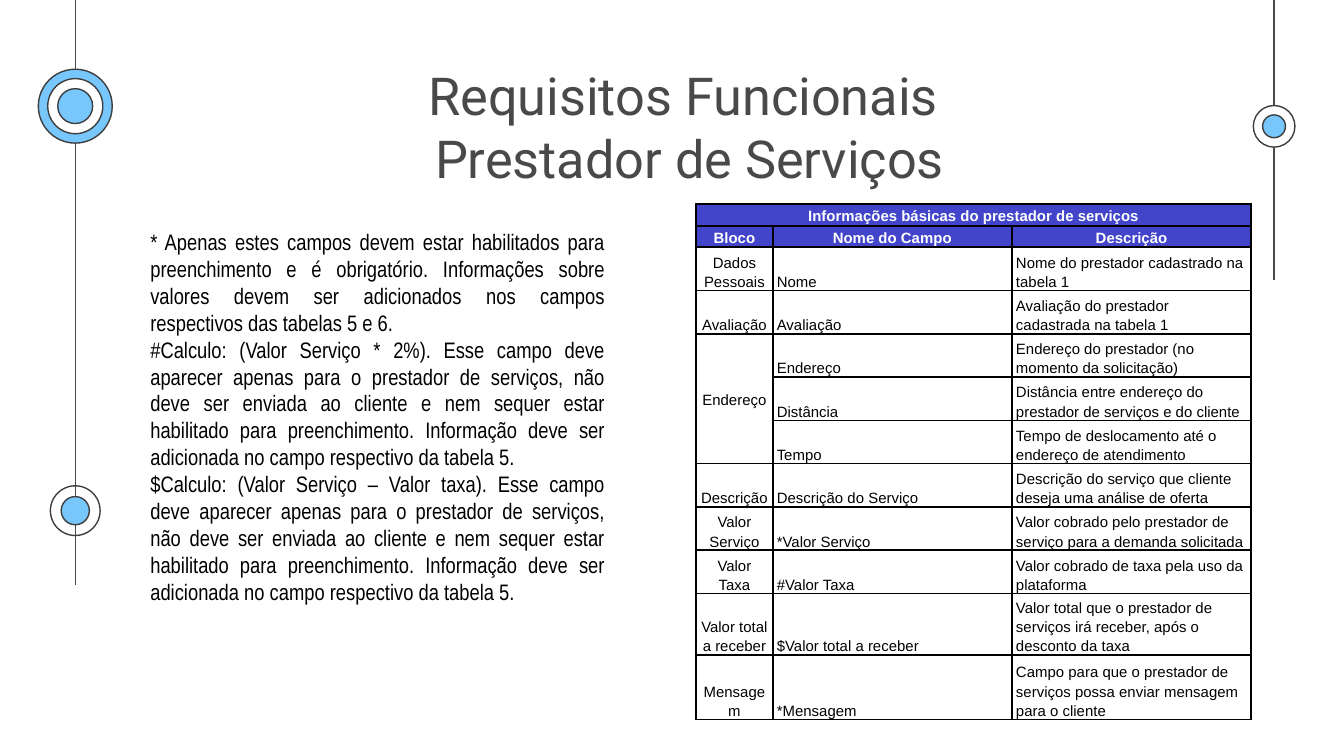
"""Build the slide on functional requirements of the service provider."""
from lxml import etree
from pptx import Presentation
from pptx.dml.color import RGBColor
from pptx.enum import shapes, text
from pptx.oxml import ns
from pptx.util import Inches, Pt

WHITE = RGBColor(0xFF, 0xFF, 0xFF)
BLACK = RGBColor(0x00, 0x00, 0x00)
GRAY = RGBColor(0x49, 0x49, 0x49)
OUTLINE = RGBColor(0x3D, 0x3D, 0x3D)
SKY = RGBColor(0x77, 0xC6, 0xFC)
INDIGO = RGBColor(0x42, 0x45, 0xCA)

SLIDE_WIDTH = 10
SLIDE_HEIGHT = SLIDE_WIDTH * 9 / 16
LEFT_AXIS, RIGHT_AXIS = 0.56, 9.48
TIMELINES = [(LEFT_AXIS, 4.35), (RIGHT_AXIS, 2.08)]
TARGETS = [
    (LEFT_AXIS, 3.8, [(0.37, None), (0.21, SKY)]),
    (RIGHT_AXIS, 0.94, [(0.31, WHITE), (0.17, SKY)]),
    (LEFT_AXIS, 0.79, [(0.55, SKY), (0.41, WHITE), (0.26, SKY)]),
]

TITLE = "Requisitos Funcionais \vPrestador de Serviços"
NOTES = [
    "* Apenas estes campos devem estar habilitados para preenchimento e é "
    "obrigatório. Informações sobre valores devem ser adicionados nos campos "
    "respectivos das tabelas 5 e 6.",
    "#Calculo: (Valor Serviço * 2%). Esse campo deve aparecer apenas para o "
    "prestador de serviços, não deve ser enviada ao cliente e nem sequer estar "
    "habilitado para preenchimento. Informação deve ser adicionada no campo "
    "respectivo da tabela 5.",
    "$Calculo: (Valor Serviço – Valor taxa). Esse campo deve aparecer apenas para o "
    "prestador de serviços, não deve ser enviada ao cliente e nem sequer estar "
    "habilitado para preenchimento. Informação deve ser adicionada no campo "
    "respectivo da tabela 5.",
]
HEADER_ROWS = 2
COLUMN_WIDTHS = [0.57, 1.78, 1.78]
ROW_HEIGHTS = [0.16] * HEADER_ROWS + [2.9 / 9] * 9 + [0.48]
MERGES = [((0, 0), (0, 2)), ((4, 0), (6, 0))]
FIELDS = [
    ("Informações básicas do prestador de serviços", "", ""),
    ("Bloco", "Nome do Campo", "Descrição"),
    ("Dados Pessoais", "Nome", "Nome do prestador cadastrado na tabela 1"),
    ("Avaliação", "Avaliação", "Avaliação do prestador cadastrada na tabela 1"),
    ("Endereço", "Endereço", "Endereço do prestador (no momento da solicitação)"),
    ("", "Distância", "Distância entre endereço do prestador de serviços e do cliente"),
    ("", "Tempo", "Tempo de deslocamento até o endereço de atendimento"),
    ("Descrição", "Descrição do Serviço",
     "Descrição do serviço que cliente deseja uma análise de oferta"),
    ("Valor Serviço", "*Valor Serviço",
     "Valor cobrado pelo prestador de serviço para a demanda solicitada"),
    ("Valor Taxa", "#Valor Taxa", "Valor cobrado de taxa pela uso da plataforma"),
    ("Valor total a receber", "$Valor total a receber",
     "Valor total que o prestador de serviços irá receber, após o desconto da taxa"),
    ("Mensagem", "*Mensagem",
     "Campo para que o prestador de serviços possa enviar mensagem para o cliente"),
]


def write(frame, content, *, size, font, color=BLACK, bold=False,
          align=text.PP_ALIGN.LEFT, spacing=1.0):
    """Fill a text frame, one paragraph per line, in a single format."""
    frame.text = content
    for paragraph in frame.paragraphs:
        paragraph.alignment = align
        paragraph.line_spacing = spacing
        for run in paragraph.runs:
            run.font.size = Pt(size)
            run.font.name = font
            run.font.bold = bold
            run.font.color.rgb = color


def add_timeline(slide, x, bottom):
    """Draw a vertical line from the top edge of the slide."""
    line = slide.shapes.add_connector(
        shapes.MSO_CONNECTOR.STRAIGHT, Inches(x), Inches(0), Inches(x), Inches(bottom))
    line.line.color.rgb = GRAY
    line.line.width = Pt(0.75)
    etree.SubElement(line._element.spPr, ns.qn("a:effectLst"))


def add_target(slide, x, y, rings):
    """Draw concentric circles, largest first, around a point."""
    for diameter, color in rings:
        circle = slide.shapes.add_shape(
            shapes.MSO_SHAPE.OVAL, Inches(x - diameter / 2), Inches(y - diameter / 2),
            Inches(diameter), Inches(diameter))
        circle.shadow.inherit = False
        circle.line.color.rgb = OUTLINE
        circle.line.width = Pt(0.75)
        if color is None:
            circle.fill.background()
        else:
            circle.fill.solid()
            circle.fill.fore_color.rgb = color


def place_title(slide):
    """Move and format the title placeholder."""
    title = slide.shapes.title
    title.left, title.top = Inches(3.05), Inches(0.37)
    title.width, title.height = Inches(4.16), Inches(0.63)
    frame = title.text_frame
    frame.auto_size = text.MSO_AUTO_SIZE.NONE
    frame.vertical_anchor = text.MSO_ANCHOR.TOP
    frame.margin_left = frame.margin_right = Inches(0.1)
    frame.margin_top = frame.margin_bottom = Inches(0.1)
    write(frame, TITLE, size=28, font="Roboto", color=GRAY, align=text.PP_ALIGN.CENTER)


def add_notes(slide):
    """Add the justified explanations beside the table."""
    box = slide.shapes.add_textbox(Inches(1.02), Inches(1.65), Inches(3.58), Inches(2.93))
    box.text_frame.word_wrap = True
    box.text_frame.auto_size = text.MSO_AUTO_SIZE.SHAPE_TO_FIT_TEXT
    write(box.text_frame, "\n".join(NOTES), size=12, font="Arial Narrow",
          align=text.PP_ALIGN.JUSTIFY)


def add_borders(cell):
    """Give a table cell a thin black line on every side."""
    properties = cell._tc.get_or_add_tcPr()
    for side in ("a:lnL", "a:lnR", "a:lnT", "a:lnB"):
        border = etree.SubElement(properties, ns.qn(side), w=str(Pt(1)))
        fill = etree.SubElement(border, ns.qn("a:solidFill"))
        etree.SubElement(fill, ns.qn("a:srgbClr"), val=str(BLACK))


def format_cell(cell, content, *, header, centered, middle):
    """Write and style one table cell."""
    add_borders(cell)
    if header:
        cell.fill.solid()
        cell.fill.fore_color.rgb = INDIGO
    else:
        cell.fill.background()
    cell.margin_left = cell.margin_right = Inches(0.03)
    cell.margin_top = cell.margin_bottom = Inches(0)
    cell.vertical_anchor = text.MSO_ANCHOR.MIDDLE if middle else text.MSO_ANCHOR.BOTTOM
    write(cell.text_frame, content, size=8, font="Arial", bold=header, spacing=1.15,
          color=WHITE if header else BLACK,
          align=text.PP_ALIGN.CENTER if centered else text.PP_ALIGN.LEFT)


def add_fields_table(slide):
    """Add the table of the provider's fields."""
    table = slide.shapes.add_table(
        len(FIELDS), len(COLUMN_WIDTHS), Inches(5.18), Inches(1.52),
        Inches(sum(COLUMN_WIDTHS)), Inches(sum(ROW_HEIGHTS))).table
    table.first_row = table.horz_banding = False
    for column, width in zip(table.columns, COLUMN_WIDTHS):
        column.width = Inches(width)
    for row, height in zip(table.rows, ROW_HEIGHTS):
        row.height = Inches(height)
    for first, last in MERGES:
        table.cell(*first).merge(table.cell(*last))
    for i, row in enumerate(FIELDS):
        header = i < HEADER_ROWS
        for j, content in enumerate(row):
            cell = table.cell(i, j)
            format_cell(cell, content, header=header, centered=header or j == 0,
                        middle=header or cell.is_merge_origin)


def main():
    """Build and save the presentation."""
    presentation = Presentation()
    presentation.slide_width = Inches(SLIDE_WIDTH)
    presentation.slide_height = Inches(SLIDE_HEIGHT)
    slide = presentation.slides.add_slide(presentation.slide_layouts[5])
    for x, bottom in TIMELINES:
        add_timeline(slide, x, bottom)
    for x, y, rings in TARGETS:
        add_target(slide, x, y, rings)
    place_title(slide)
    add_notes(slide)
    add_fields_table(slide)
    presentation.save("out.pptx")


if __name__ == "__main__":
    main()
